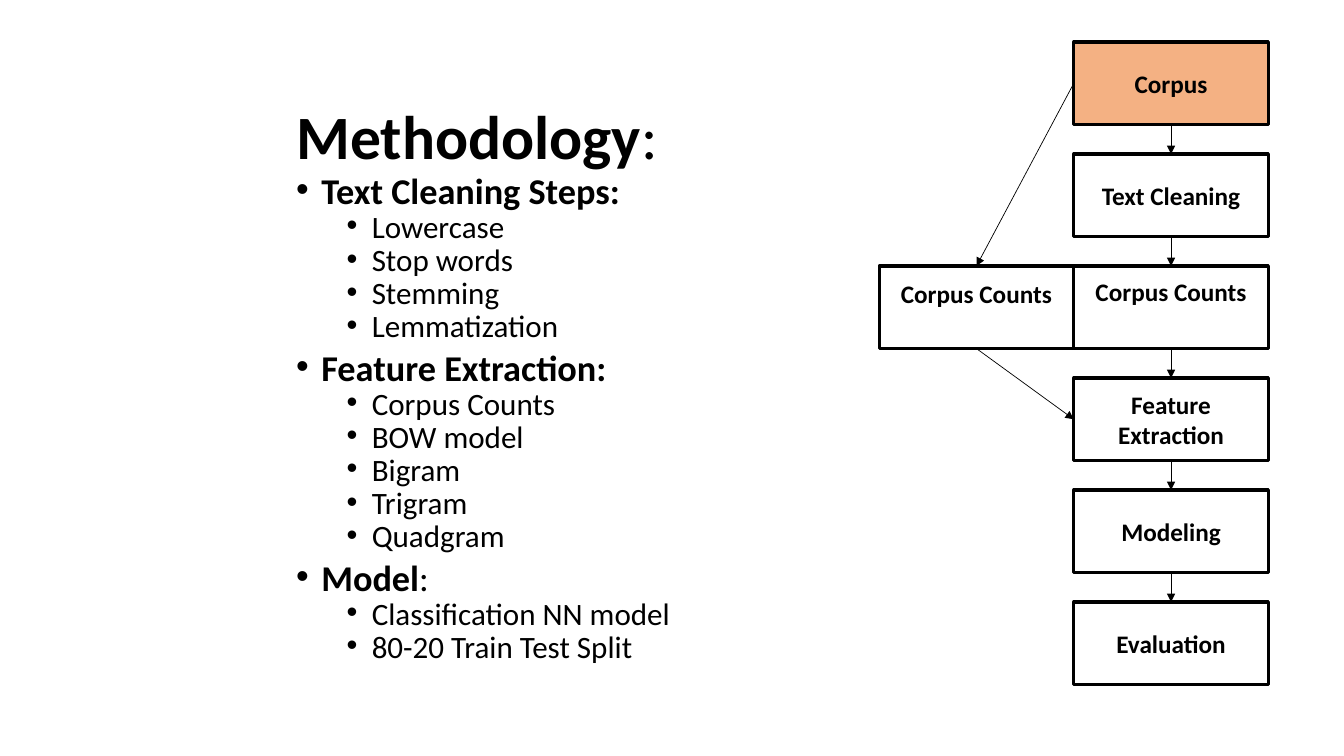
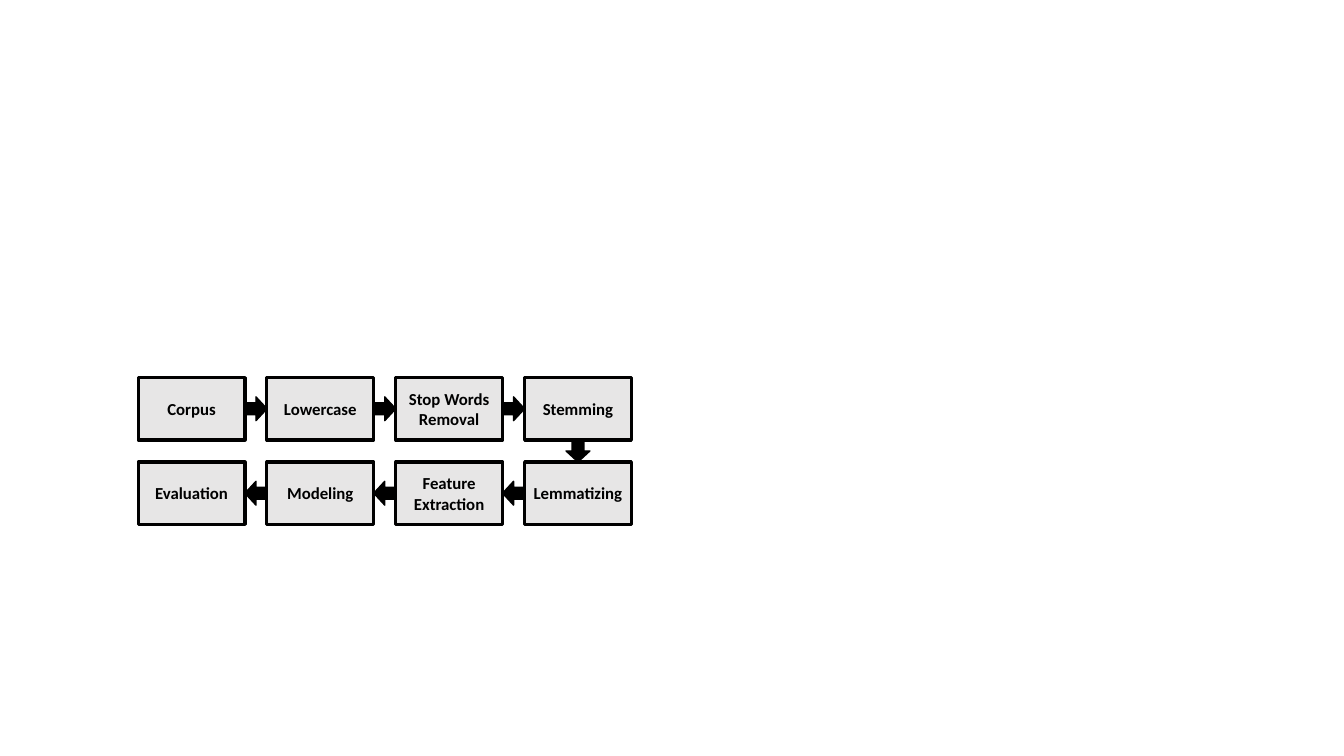
from lxml import etree
from pptx import Presentation
from pptx.dml.color import RGBColor
from pptx.enum import shapes, text
from pptx.oxml import ns
from pptx.util import Pt

BLACK = RGBColor(0x00, 0x00, 0x00)
ORANGE = RGBColor(0xF4, 0xB1, 0x83)
GREY = RGBColor(0xE7, 0xE6, 0xE6)
FONT = "Calibri"
TITLE_ONLY, BLANK = 5, 6
TOP, LEFT, BOTTOM = 0, 1, 2
SHAPE = shapes.MSO_SHAPE

OUTLINE = [
    ("Text Cleaning Steps:", "", ["Lowercase", "Stop words", "Stemming", "Lemmatization"]),
    ("Feature Extraction:", "", ["Corpus Counts", "BOW model", "Bigram", "Trigram", "Quadgram"]),
    ("Model", ":", ["Classification NN model", "80-20 Train Test Split"]),
]
STAGES = ["Corpus", "Text Cleaning", "Corpus Counts", "Feature Extraction", "Modeling", "Evaluation"]
STEPS = ["Corpus", "Lowercase", "Stop Words Removal", "Stemming",
         "Lemmatizing", "Feature Extraction", "Modeling", "Evaluation"]


class Deck:
    def __init__(self):
        self.prs = Presentation()
        self.prs.slide_width, self.prs.slide_height = Pt(960), Pt(540)
        self.s = None

    def slide(self, layout):
        self.s = self.prs.slides.add_slide(self.prs.slide_layouts[layout])

    def label(self, p, words, size, bold=True, plain=""):
        p.text = words
        if plain:
            p.add_run().text = plain
        for i, r in enumerate(p.runs):
            r.font.name, r.font.size = FONT, Pt(size)
            r.font.bold = bold and i == 0
            r.font.color.rgb = BLACK

    def title(self, x, y, w, h, words, plain):
        sp = self.s.shapes.title
        sp.left, sp.top, sp.width, sp.height = Pt(x), Pt(y), Pt(w), Pt(h)
        tf = sp.text_frame
        tf.vertical_anchor = text.MSO_ANCHOR.MIDDLE
        p = tf.paragraphs[0]
        p.alignment, p.line_spacing = text.PP_ALIGN.LEFT, 0.9
        self.label(p, words, 44, plain=plain)

    def bullet(self, p, level):
        p.level, p.line_spacing = level, 0.7
        p.space_before = Pt(5 if level else 10)
        pPr = p._p.get_or_add_pPr()
        pPr.set("marL", str(Pt(54 if level else 18)))
        pPr.set("indent", str(Pt(-18)))
        etree.SubElement(pPr, ns.qn("a:buFont")).set("typeface", "Arial")
        etree.SubElement(pPr, ns.qn("a:buChar")).set("char", "•")

    def outline(self, x, y, w, h, sections):
        tf = self.s.shapes.add_textbox(Pt(x), Pt(y), Pt(w), Pt(h)).text_frame
        tf.word_wrap = True
        p = tf.paragraphs[0]
        for i, (heading, plain, items) in enumerate(sections):
            if i:
                p = tf.add_paragraph()
            self.label(p, heading, 25.9, plain=plain)
            self.bullet(p, 0)
            for item in items:
                p = tf.add_paragraph()
                self.label(p, item, 22.2, bold=False)
                self.bullet(p, 1)

    def shape(self, kind, x, y, w, h, fill, line):
        sp = self.s.shapes.add_shape(kind, Pt(x), Pt(y), Pt(w), Pt(h))
        sp.shadow.inherit = False
        if fill is None:
            sp.fill.background()
        else:
            sp.fill.solid()
            sp.fill.fore_color.rgb = fill
        sp.line.color.rgb, sp.line.width = BLACK, Pt(line)
        return sp

    def box(self, x, y, w, h, words, size, fill=None, drop=None):
        sp = self.shape(SHAPE.RECTANGLE, x, y, w, h, fill, 2.25)
        tf = sp.text_frame
        tf.word_wrap = True
        tf.margin_left = tf.margin_right = Pt(4)
        tf.margin_top = tf.margin_bottom = Pt(drop or 0)
        tf.vertical_anchor = text.MSO_ANCHOR.TOP if drop else text.MSO_ANCHOR.MIDDLE
        p = tf.paragraphs[0]
        p.alignment = text.PP_ALIGN.CENTER
        self.label(p, words, size)
        return sp

    def arrow(self, start, start_side, end, end_side):
        c = self.s.shapes.add_connector(shapes.MSO_CONNECTOR.STRAIGHT, 0, 0, 0, 0)
        c.begin_connect(start, start_side)
        c.end_connect(end, end_side)
        c.line.color.rgb, c.line.width = BLACK, Pt(0.5)
        spPr = c._element.spPr
        etree.SubElement(spPr.find(ns.qn("a:ln")), ns.qn("a:tailEnd")).set("type", "triangle")
        etree.SubElement(spPr, ns.qn("a:effectLst"))


def methodology(deck):
    deck.slide(TITLE_ONLY)
    deck.title(204.5, 49, 414.7, 100.8, "Methodology", ":")
    deck.outline(204.5, 125.3, 414.7, 376.6, OUTLINE)
    x, y, w, h, pitch = 767, 30, 139, 59, 80
    column = [deck.box(x, y + i * pitch, w, h, stage, 18,
                       fill=None if i else ORANGE,
                       drop=7.2 if stage == "Corpus Counts" else None)
              for i, stage in enumerate(STAGES)]
    counts = deck.box(x - w, y + 2 * pitch, w, h, "Corpus Counts", 18, drop=9)
    for upper, lower in zip(column, column[1:]):
        deck.arrow(upper, BOTTOM, lower, TOP)
    deck.arrow(column[0], LEFT, counts, TOP)
    deck.arrow(counts, BOTTOM, column[3], LEFT)


def pipeline(deck):
    deck.slide(BLANK)
    x0, y0, w, h, gap, thick, columns = 98.7, 269.7, 76.3, 44.6, 15.7, 17, 4
    places = []
    for i, step in enumerate(STEPS):
        row, col = divmod(i, columns)
        if row:
            col = columns - 1 - col
        x, y = x0 + col * (w + gap), y0 + row * (h + gap)
        deck.box(x, y, w, h, step, 12, fill=GREY)
        places.append((row, x, y))
    for (row, x, y), (next_row, _, _) in zip(places, places[1:]):
        middle = y + (h - thick) / 2
        if next_row != row:
            place = SHAPE.DOWN_ARROW, x + (w - thick) / 2, y + h, thick, gap
        elif row:
            place = SHAPE.LEFT_ARROW, x - gap, middle, gap, thick
        else:
            place = SHAPE.RIGHT_ARROW, x + w, middle, gap, thick
        deck.shape(*place, BLACK, 1)


def main():
    deck = Deck()
    methodology(deck)
    pipeline(deck)
    deck.prs.save("out.pptx")


if __name__ == "__main__":
    main()
